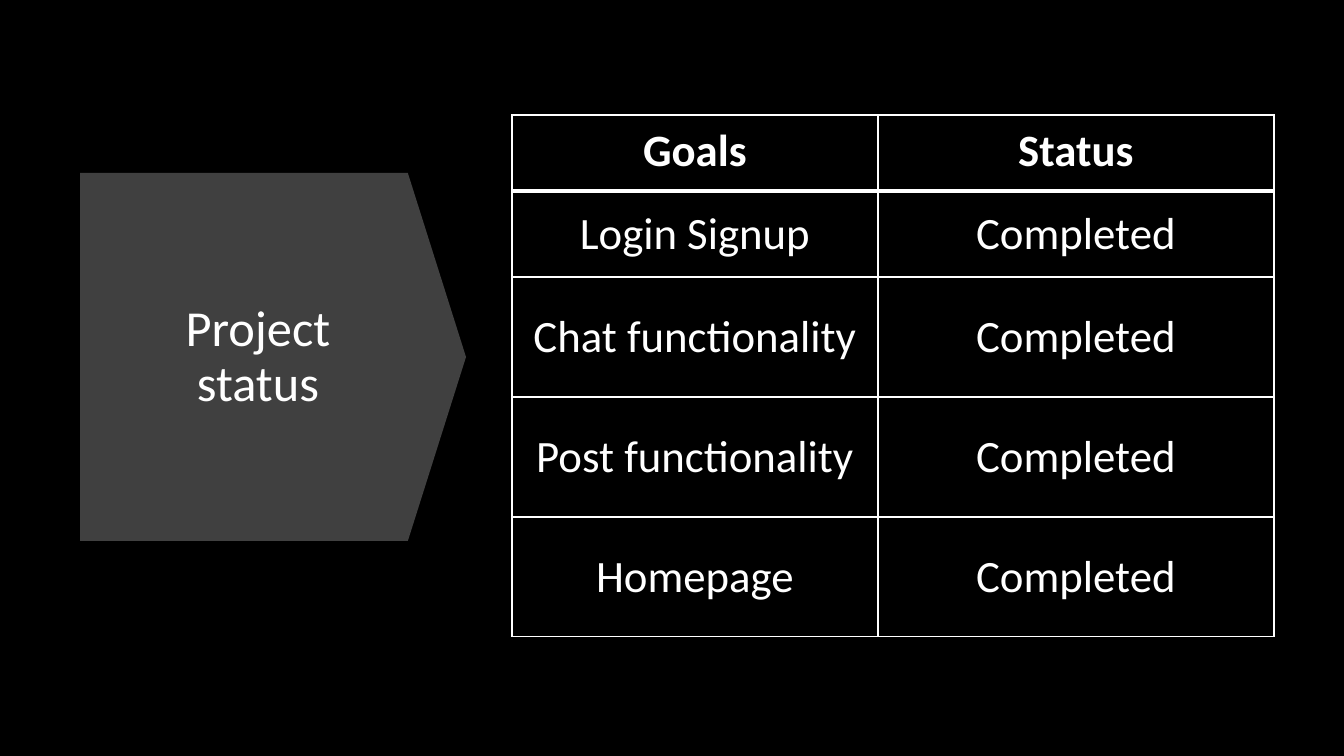
"""Build the project status slide: a titled arrow beside a table of goals."""
from lxml.etree import SubElement
from pptx import Presentation
from pptx.dml.color import RGBColor
from pptx.enum.shapes import MSO_SHAPE
from pptx.enum.text import MSO_ANCHOR, MSO_AUTO_SIZE, PP_ALIGN
from pptx.oxml.ns import qn
from pptx.util import Emu, Pt

COLORS = {"background": "000000", "arrow": "404040", "text": "FFFFFF", "border": "FFFFFF"}
GOALS = ["Login Signup", "Chat functionality", "Post functionality", "Homepage"]


def px(length):
    return Emu(round(length * 9144000 / 1008))


def color(role):
    return RGBColor.from_string(COLORS[role])


def apply(target, values):
    for attribute, value in values.items():
        setattr(target, attribute, value)


class StatusSlide:
    """Hold the style and the slide being built."""

    font = "Calibri"

    def __init__(self, presentation):
        self.slide = presentation.slides.add_slide(presentation.slide_layouts[5])
        self.fill(self.slide.background, "background")

    def fill(self, target, role):
        target.fill.solid()
        target.fill.fore_color.rgb = color(role)

    def label(self, frame, wording, size, bold=False, spacing=1.0):
        frame.text = wording
        paragraph = frame.paragraphs[0]
        apply(paragraph, {"alignment": PP_ALIGN.CENTER, "line_spacing": spacing})
        font = paragraph.runs[0].font
        apply(font, {"name": self.font, "size": Pt(size), "bold": bold})
        font.color.rgb = color("text")

    def arrow(self, left, top, width, height):
        arrow = self.slide.shapes.add_shape(
            MSO_SHAPE.DOWN_ARROW, px(left), px(top), px(width), px(height))
        arrow.rotation = 270
        arrow.adjustments[0] = 1
        arrow.adjustments[1] = 0.158
        arrow.shadow.inherit = False
        arrow.line.fill.background()
        self.fill(arrow, "arrow")

    def title(self, wording, left, top, width, height):
        title = self.slide.shapes.title
        apply(title, {"left": px(left), "top": px(top),
                      "width": px(width), "height": px(height)})
        self.label(title.text_frame, wording, 36, spacing=0.9)
        apply(title.text_frame, {"word_wrap": True, "auto_size": MSO_AUTO_SIZE.NONE,
                                 "vertical_anchor": MSO_ANCHOR.MIDDLE})
        tree = title.element.getparent()
        tree.append(title.element)

    def borders(self, cell, weights):
        properties = cell._tc.get_or_add_tcPr()
        for side, weight in weights.items():
            line = SubElement(properties, qn(f"a:ln{side}"), w=str(Pt(weight)))
            solid = SubElement(line, qn("a:solidFill"))
            SubElement(solid, qn("a:srgbClr"), val=COLORS["border"])

    def table(self, rows, left, top, widths, heights):
        table = self.slide.shapes.add_table(
            len(rows), len(widths), px(left), px(top),
            px(sum(widths)), px(sum(heights))).table
        apply(table, {"first_row": False, "horz_banding": False})
        for column, width in zip(table.columns, widths):
            column.width = px(width)
        for index, (row, height, wordings) in enumerate(zip(table.rows, heights, rows)):
            row.height = px(height)
            header = index == 0
            weights = {"L": 1, "R": 1, "T": 3 if index == 1 else 1, "B": 3 if header else 1}
            for cell, wording in zip(row.cells, wordings):
                self.label(cell.text_frame, wording, 32, bold=header)
                apply(cell, {
                    "margin_left": px(18), "margin_right": px(18),
                    "margin_top": px(9), "margin_bottom": px(9),
                    "vertical_anchor": MSO_ANCHOR.TOP if header else MSO_ANCHOR.MIDDLE})
                self.borders(cell, weights)
                self.fill(cell, "background")


def main():
    presentation = Presentation()
    apply(presentation, {"slide_width": px(1344), "slide_height": px(756)})
    status = StatusSlide(presentation)
    status.arrow(89, 164, 368, 386)
    status.title("Project status", 113, 217, 290, 281)
    rows = [("Goals", "Status")] + [(goal, "Completed") for goal in GOALS]
    status.table(rows, 512, 115, [366, 396], [76, 86, 120, 120, 120])
    presentation.save("out.pptx")


if __name__ == "__main__":
    main()
